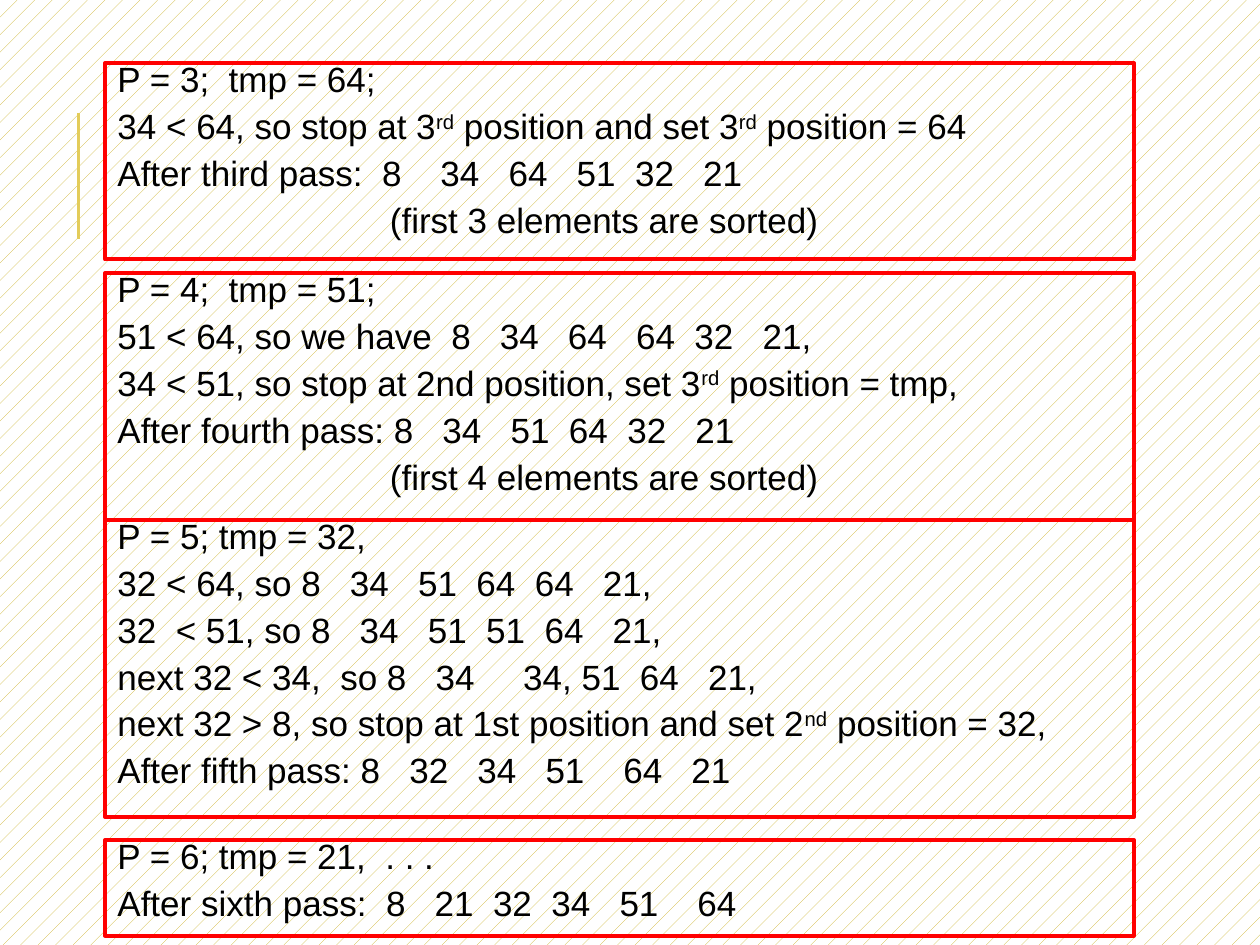
from dataclasses import dataclass

from lxml import etree
from pptx import Presentation
from pptx import util as u
from pptx.dml.color import RGBColor
from pptx.enum import dml, shapes, text
from pptx.oxml.ns import qn


@dataclass(frozen=True)
class Theme:
    ink: RGBColor = RGBColor(0, 0, 0)
    frame: RGBColor = RGBColor(0xFF, 0, 0)
    accent: RGBColor = RGBColor(0xE3, 0xCC, 0x5A)
    hatch: RGBColor = RGBColor(0xCB, 0xAF, 0x22)
    paper: RGBColor = RGBColor(0xFF, 0xFF, 0xFF)
    font: str = "Arial"
    body_size: float = 20
    frame_width: float = 2.25
    accent_width: float = 1.5
    line_spacing: float = 0.7
    note_indent: float = 155.7


class SlideBuilder:
    def __init__(self, slide, theme):
        self.slide = slide
        self.theme = theme

    def background(self):
        fill = self.slide.background.fill
        fill.patterned()
        fill.pattern = dml.MSO_PATTERN.PERCENT_5
        fill.fore_color.rgb = self.theme.hatch
        fill.back_color.rgb = self.theme.paper

    def accent_line(self, x, bottom, top):
        rule = self.slide.shapes.add_connector(
            shapes.MSO_CONNECTOR.STRAIGHT, u.Pt(x), u.Pt(bottom), u.Pt(x), u.Pt(top))
        rule.line.color.rgb = self.theme.accent
        rule.line.width = u.Pt(self.theme.accent_width)
        etree.SubElement(rule._element.spPr, qn("a:effectLst"))

    def step_box(self, left, top, width, height, lines):
        box = self.slide.shapes.add_shape(
            shapes.MSO_SHAPE.RECTANGLE, u.Pt(left), u.Pt(top), u.Pt(width), u.Pt(height))
        box.shadow.inherit = False
        box.fill.background()
        box.line.color.rgb = self.theme.frame
        box.line.width = u.Pt(self.theme.frame_width)
        frame = box.text_frame
        frame.word_wrap = True
        frame.auto_size = text.MSO_AUTO_SIZE.SHAPE_TO_FIT_TEXT
        frame.vertical_anchor = text.MSO_ANCHOR.TOP
        for index, line in enumerate(lines):
            paragraph = frame.add_paragraph() if index else frame.paragraphs[0]
            self.step_line(paragraph, line)

    def step_line(self, paragraph, line):
        """Write one line; parts between ^ marks are superscript."""
        paragraph.alignment = text.PP_ALIGN.LEFT
        paragraph.line_spacing = self.theme.line_spacing
        properties = paragraph._p.get_or_add_pPr()
        # Space before is half a line
        paragraph.space_before = u.Pt(0)
        before = properties.find(qn("a:spcBef"))
        before.remove(before[0])
        etree.SubElement(before, qn("a:spcPct"), val="50000")
        # Bracketed notes are indented
        if line.startswith("("):
            properties.set("marL", str(u.Pt(self.theme.note_indent)))
        for index, part in enumerate(line.split("^")):
            run = paragraph.add_run()
            run.text = part
            run.font.name = self.theme.font
            run.font.size = u.Pt(self.theme.body_size)
            run.font.color.rgb = self.theme.ink
            if index % 2:
                run._r.get_or_add_rPr().set("baseline", "30000")


# Top of each box and its lines
PASSES = [
    (36, ["P = 3;  tmp = 64;",
          "34 < 64, so stop at 3^rd^ position and set 3^rd^ position = 64",
          "After third pass:  8    34   64   51  32   21",
          "(first 3 elements are sorted)"]),
    (156, ["P = 4;  tmp = 51;",
           "51 < 64, so we have  8   34   64   64  32   21,",
           "34 < 51, so stop at 2nd position, set 3^rd^ position = tmp,",
           "After fourth pass: 8   34   51  64  32   21",
           "(first 4 elements are sorted)"]),
    (296.9, ["P = 5; tmp = 32,",
             "32 < 64, so 8   34   51  64  64   21,",
             "32  < 51, so 8   34   51  51  64   21,",
             "next 32 < 34,  so 8   34     34, 51  64   21,",
             "next 32 > 8, so stop at 1st position and set 2^nd^ position = 32,",
             "After fifth pass: 8   32   34   51    64   21"]),
    (480, ["P = 6; tmp = 21,  . . .",
           "After sixth pass:  8   21  32  34   51    64"]),
]
BOX_LEFT, BOX_WIDTH = 60, 588
LINE_PITCH, BOX_TRIM = 28.8, 2.9


def main():
    deck = Presentation()
    deck.slide_width, deck.slide_height = u.Pt(720), u.Pt(540)
    builder = SlideBuilder(deck.slides.add_slide(deck.slide_layouts[6]), Theme())

    # Backdrop
    builder.background()
    builder.accent_line(45, 136.8, 64.8)

    # Sorting passes
    for top, lines in PASSES:
        height = LINE_PITCH * len(lines) - BOX_TRIM
        builder.step_box(BOX_LEFT, top, BOX_WIDTH, height, lines)

    deck.save("out.pptx")


if __name__ == "__main__":
    main()
